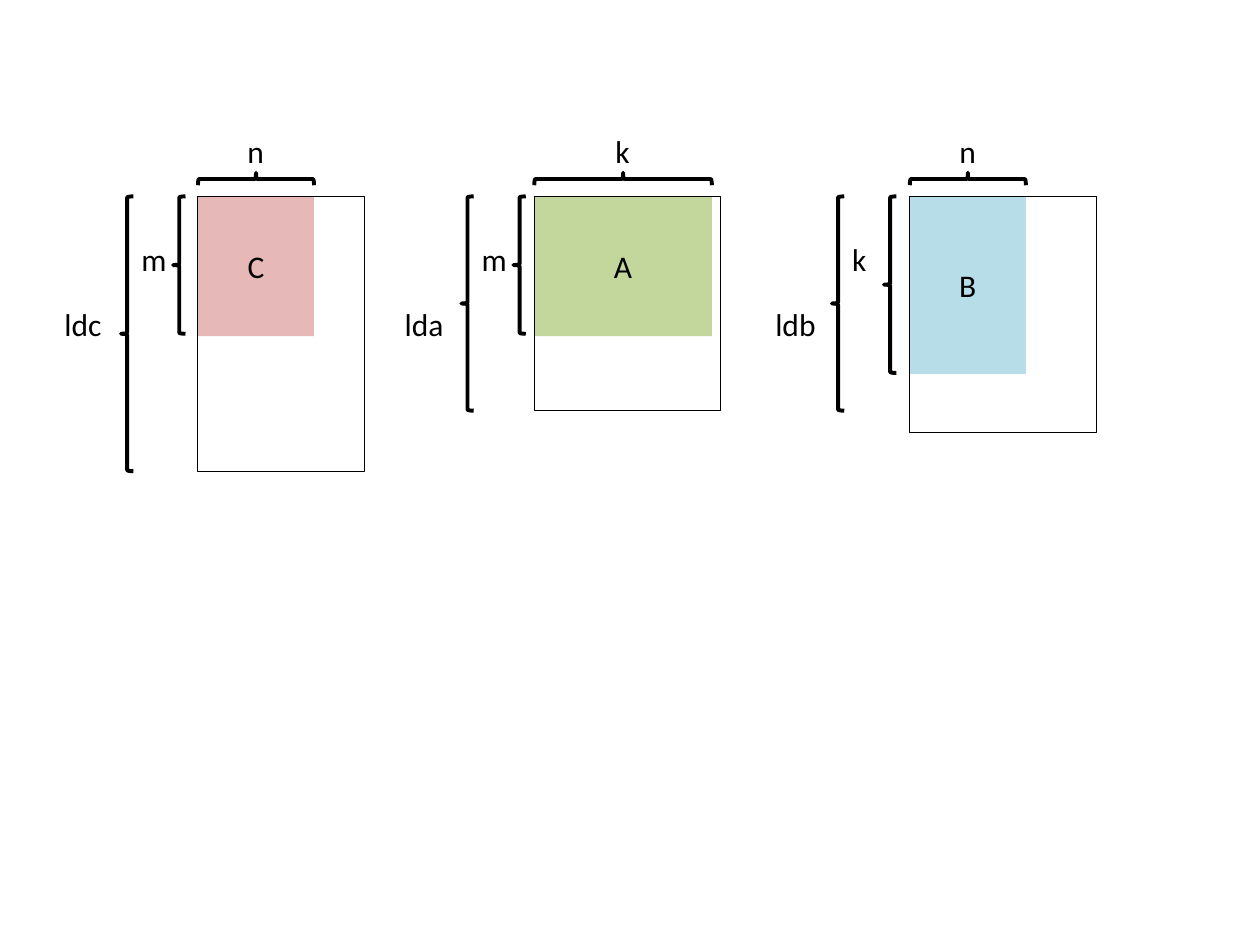
"""Build a slide of three matrices with their block sizes and leading dimensions."""
from pptx import Presentation
from pptx.dml.color import RGBColor
from pptx.enum.shapes import MSO_SHAPE
from pptx.enum.text import MSO_ANCHOR, MSO_AUTO_SIZE, PP_ALIGN
from pptx.util import Cm, Pt

BLACK = RGBColor(0x00, 0x00, 0x00)
PINK = RGBColor(0xE6, 0xB9, 0xB8)
GREEN = RGBColor(0xC3, 0xD6, 0x9B)
BLUE = RGBColor(0xB7, 0xDE, 0xE8)

TOP = 3.96
BRACE_WIDTH = 0.25
TOP_BRACE_MIDDLE = 3.61
LABEL_HEIGHT = 1.02
LABEL_WIDTHS = {"ldc": 1.27, "lda": 1.3, "ldb": 1.35, "m": 1.02, "n": 0.84, "k": 0.81}

presentation = Presentation()
presentation.slide_width = Cm(25.4)
presentation.slide_height = Cm(19.05)
slide = presentation.slides.add_slide(presentation.slide_layouts[6])


def write(holder, text, align=PP_ALIGN.LEFT, size=18, color=BLACK, font="Calibri"):
    paragraph = holder.text_frame.paragraphs[0]
    paragraph.alignment = align
    run = paragraph.add_run()
    run.text = text
    run.font.size = Pt(size)
    run.font.name = font
    run.font.color.rgb = color


def draw(kind, left, top, width, height, fill=None, line=None):
    shape = slide.shapes.add_shape(kind, Cm(left), Cm(top), Cm(width), Cm(height))
    shape.shadow.inherit = False
    if fill is None:
        shape.fill.background()
    else:
        shape.fill.solid()
        shape.fill.fore_color.rgb = fill
    if line is None:
        shape.line.fill.background()
    else:
        shape.line.color.rgb = BLACK
        shape.line.width = Pt(line)
    return shape


matrices = [
    ("C", PINK, 3.99, (2.34, 2.82), (3.35, 5.54), 2.44, (5.54, 2.77), ("ldc", "m", "n")),
    ("A", GREEN, 10.77, (3.58, 2.82), (3.76, 4.32), 9.3, (4.32, 2.77), ("lda", "m", "k")),
    ("B", BLUE, 18.34, (2.34, 3.58), (3.76, 4.75), 16.77, (4.32, 3.56), ("ldb", "k", "n")),
]

for name, color, left, block_size, full_size, brace_left, brace_heights, labels in matrices:
    block = draw(MSO_SHAPE.RECTANGLE, left, TOP, *block_size, fill=color)
    block.text_frame.vertical_anchor = MSO_ANCHOR.MIDDLE
    write(block, name, align=PP_ALIGN.CENTER)
    draw(MSO_SHAPE.RECTANGLE, left, TOP, *full_size, line=0.5)

    for offset, height in zip((0, 1.05), brace_heights):
        draw(MSO_SHAPE.LEFT_BRACE, brace_left + offset, TOP, BRACE_WIDTH, height, line=2.25)

    block_width = block_size[0]
    center = left + block_width / 2
    top_brace = draw(MSO_SHAPE.LEFT_BRACE, center - BRACE_WIDTH / 2,
                     TOP_BRACE_MIDDLE - block_width / 2, BRACE_WIDTH, block_width, line=2.25)
    top_brace.rotation = 90

    label_lefts = (brace_left - 1.39, brace_left + 0.16, center - LABEL_WIDTHS[labels[2]] / 2)
    for label, label_left, label_top in zip(labels, label_lefts, (6.02, 4.72, 2.54)):
        caption = slide.shapes.add_textbox(Cm(label_left), Cm(label_top),
                                           Cm(LABEL_WIDTHS[label]), Cm(LABEL_HEIGHT))
        caption.text_frame.word_wrap = False
        caption.text_frame.auto_size = MSO_AUTO_SIZE.SHAPE_TO_FIT_TEXT
        write(caption, label)

presentation.save("out.pptx")
